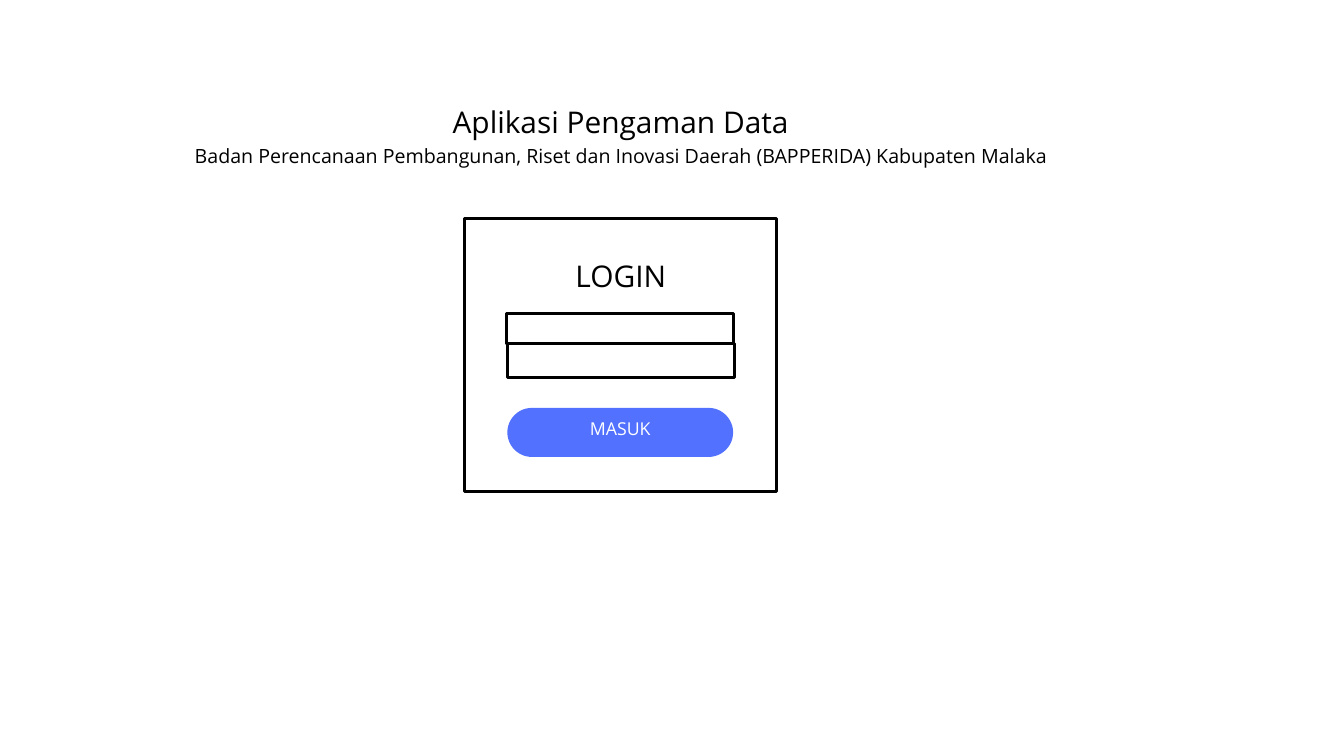
from dataclasses import dataclass

from pptx import Presentation
from pptx.dml.color import RGBColor as Rgb
from pptx.enum.shapes import MSO_SHAPE as Kind
from pptx.enum.text import MSO_ANCHOR as Anchor, PP_ALIGN as Align
from pptx.util import Inches, Pt


@dataclass(frozen=True)
class Theme:
    font: str = "Open Sans"
    black: Rgb = Rgb(0, 0, 0)
    white: Rgb = Rgb(255, 255, 255)
    blue: Rgb = Rgb(0x52, 0x71, 0xFF)
    title: float = 32
    body: float = 21
    label: float = 19
    lead: float = 1.4
    edge: float = 3


theme = Theme()
deck = Presentation()
deck.slide_width, deck.slide_height = Inches(20), Inches(11.25)
slide = deck.slides.add_slide(deck.slide_layouts[6])
shapes = slide.shapes


def add_box(kind, area, fill, edge=None):
    box = shapes.add_shape(kind, *map(Inches, area))
    box.shadow.inherit = False
    box.fill.solid()
    box.fill.fore_color.rgb = fill
    if edge:
        box.line.color.rgb = edge
        box.line.width = Pt(theme.edge)
    else:
        box.line.fill.background()
    return box


def add_text(area, lines, color):
    frame = shapes.add_textbox(*map(Inches, area)).text_frame
    frame.word_wrap = True
    frame.vertical_anchor = Anchor.MIDDLE
    frame.margin_left = frame.margin_right = Inches(0.06)
    frame.margin_top = frame.margin_bottom = Inches(0.06)
    for i, (words, size) in enumerate(lines):
        para = frame.add_paragraph() if i else frame.paragraphs[0]
        para.alignment = Align.CENTER
        para.line_spacing = Pt(round(size * theme.lead, 1))
        run = para.add_run()
        run.text = words
        run.font.name = theme.font
        run.font.size = Pt(size)
        run.font.color.rgb = color


# Heading
add_text((2.22, 0.89, 14.04, 2.16), [
    ("Aplikasi Pengaman Data", theme.title),
    ("Badan Perencanaan Pembangunan, Riset dan Inovasi Daerah "
     "(BAPPERIDA) Kabupaten Malaka", theme.body),
], theme.black)

# Login panel
add_box(Kind.RECTANGLE, (6.91, 3.25, 4.64, 4.06), theme.white, theme.black)
add_box(Kind.RECTANGLE, (7.86, 3.68, 2.76, 0.99), theme.white)
add_text((7.86, 3.44, 2.76, 1.22), [("LOGIN", theme.title)], theme.black)

# Input fields
for left, top, high in ((7.54, 4.67, 0.45), (7.55, 5.11, 0.51)):
    add_box(Kind.RECTANGLE, (left, top, 3.38, high), theme.white, theme.black)

# Button
pill = add_box(Kind.ROUNDED_RECTANGLE, (7.55, 6.07, 3.36, 0.73), theme.blue)
pill.adjustments[0] = 0.5
add_text((7.55, 5.91, 3.36, 0.88), [("MASUK", theme.label)], theme.white)

deck.save("out.pptx")
